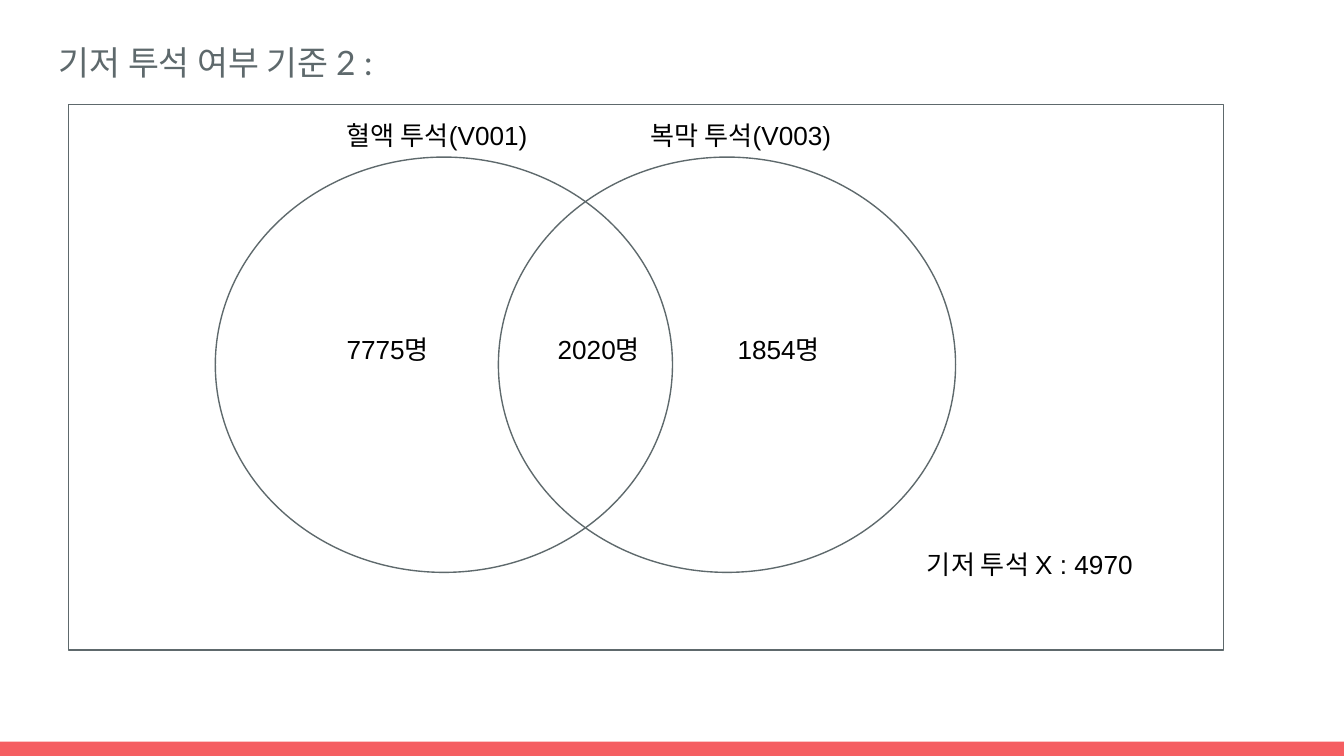
import pptx
import pptx.util
import pptx.dml.color
import pptx.enum.shapes

Cm = pptx.util.Cm
Pt = pptx.util.Pt
Kind = pptx.enum.shapes.MSO_SHAPE
hues = {"slate": "5E696C", "coral": "F55E61", "black": "000000"}

deck = pptx.Presentation()
deck.slide_width, deck.slide_height = Cm(25.4), Cm(14.29)
slide = deck.slides.add_slide(deck.slide_layouts[6])


def draw(kind, box, fill=None):
    """Add a filled shape without a line, or an outlined one without a fill."""
    shape = slide.shapes.add_shape(kind, *map(Cm, box))
    shape.shadow.inherit = False
    if fill:
        shape.fill.solid()
        shape.fill.fore_color.rgb = pptx.dml.color.RGBColor.from_string(hues[fill])
        shape.line.fill.background()
    else:
        shape.fill.background()
        shape.line.color.rgb = pptx.dml.color.RGBColor.from_string(hues["slate"])
        shape.line.width = Pt(0.75)


def write(text, box, size=14, face="Arial", hue="black", space=1.0):
    frame = slide.shapes.add_textbox(*map(Cm, box)).text_frame
    frame.word_wrap = True
    frame.margin_left = frame.margin_right = Cm(0.25)
    frame.margin_top = frame.margin_bottom = Cm(0.25)
    line = frame.paragraphs[0]
    line.text = text
    line.line_spacing = space
    line.font.size = Pt(size)
    line.font.name = face
    line.font.color.rgb = pptx.dml.color.RGBColor.from_string(hues[hue])


# Footer band and title
draw(Kind.RECTANGLE, (0, 14.02, 25.4, 0.27), "coral")
write("기저 투석 여부 기준 2 :", (0.86, 0.43, 23.67, 12.32), 18, "Lato", "slate", 1.15)

# Venn diagram: two overlapping sets inside the whole group
for left in (4.07, 9.42):
    draw(Kind.OVAL, (left, 2.97, 8.64, 7.85))
draw(Kind.RECTANGLE, (1.3, 1.98, 21.82, 10.31))

# Set names
for text, left in (("혈액 투석(V001)", 6.3), ("복막 투석(V003)", 12.04)):
    write(text, (left, 2.01, 4.83, 1.12))

# Counts within the sets, then outside them
for text, left in (("7775명", 6.3), ("2020명", 10.29), ("1854명", 13.69)):
    write(text, (left, 6.05, 3.4, 1.12))
write("기저 투석 X : 4970", (17.27, 10.11, 5.41, 1.57))

deck.save("out.pptx")
